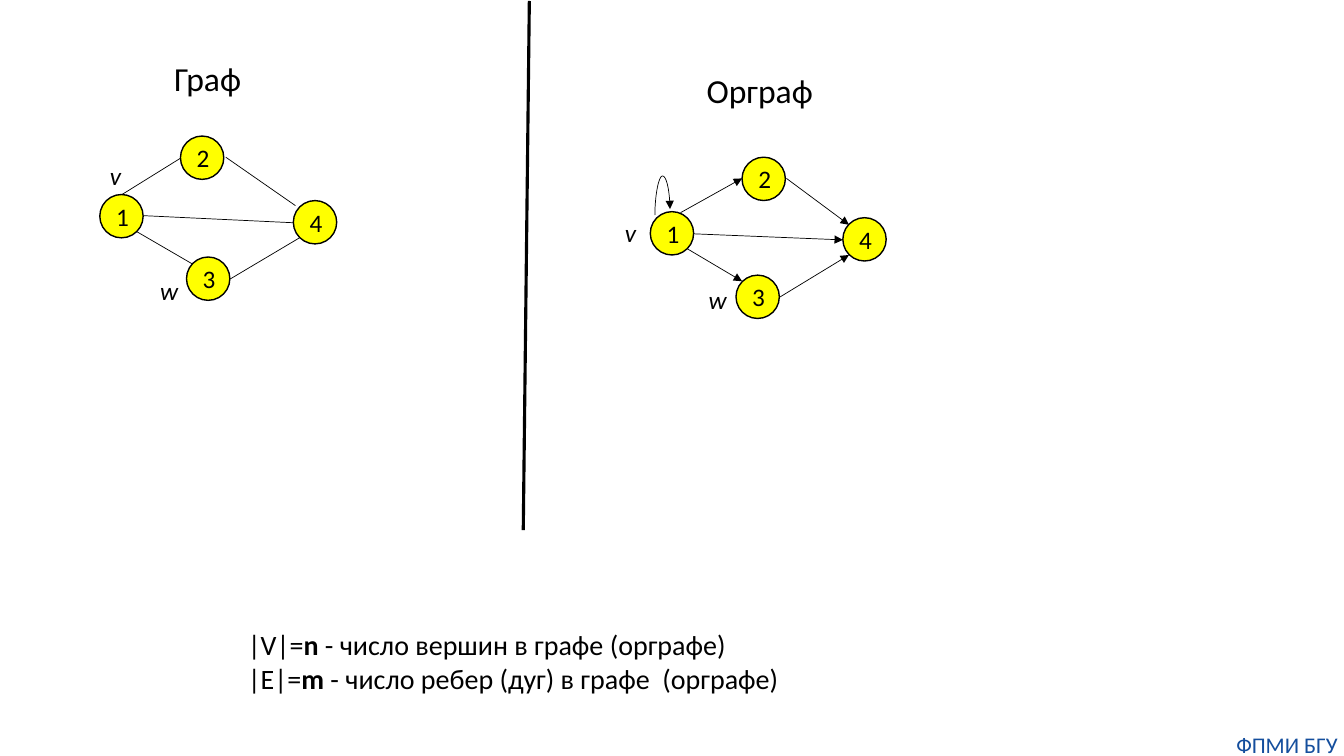
"""Build a slide comparing an undirected graph with a directed graph."""
import pptx
import pptx.util
import pptx.dml.color
import pptx.enum.shapes
import pptx.enum.text
import pptx.oxml
import pptx.oxml.ns

Inches = pptx.util.Inches
Pt = pptx.util.Pt
COLORS = {"ink": "000000", "node": "FFFF00", "footer": "144E9D"}
LINE_TYPES = pptx.enum.shapes.MSO_CONNECTOR
CENTER = pptx.enum.text.PP_ALIGN.CENTER
NODE_SIZE = 0.43


def write(paragraph, parts, size, color="ink", italic=False):
    for text, bold in parts:
        run = paragraph.add_run()
        run.text = text
        if bold:
            run.font.bold = True
    paragraph.font.name = "Calibri"
    paragraph.font.size = Pt(size)
    paragraph.font.italic = italic
    paragraph.font.color.rgb = pptx.dml.color.RGBColor.from_string(COLORS[color])


def draw_line(ends, width=0.5, arrow=False, kind=LINE_TYPES.STRAIGHT):
    line = slide.shapes.add_connector(kind, *[Inches(n) for n in ends])
    line.line.width = Pt(width)
    line.line.color.rgb = pptx.dml.color.RGBColor.from_string(COLORS["ink"])
    if arrow:
        head = pptx.oxml.parse_xml(f'<a:tailEnd {pptx.oxml.ns.nsdecls("a")} type="triangle"/>')
        line.line._get_or_add_ln().append(head)
    line._element.spPr.append(pptx.oxml.parse_xml(f'<a:effectLst {pptx.oxml.ns.nsdecls("a")}/>'))
    return line


deck = pptx.Presentation()
deck.slide_width, deck.slide_height = Inches(13.33), Inches(7.5)
slide = deck.slides.add_slide(deck.slide_layouts[6])

graphs = [
    {
        "directed": False,
        "edges": [(1.36, 2.3, 1.91, 2.62), (2.28, 2.77, 2.97, 2.36), (2.24, 1.56, 2.93, 2.04),
                  (1.21, 1.93, 1.79, 1.57), (1.43, 2.14, 2.91, 2.21)],
        "nodes": {"1": (0.99, 1.93), "2": (1.79, 1.35), "3": (1.85, 2.55), "4": (2.91, 1.99)},
        "labels": [("Граф", 1.63, 0.53, 0.87, 0.5), ("v", 0.99, 1.54, 0.32, 0.4),
                   ("w", 1.49, 2.68, 0.38, 0.4)],
    },
    {
        "directed": True,
        "edges": [(6.75, 2.11, 7.36, 1.77), (6.82, 2.47, 7.36, 2.79), (7.73, 2.95, 8.42, 2.53),
                  (7.8, 1.77, 8.42, 2.23), (6.88, 2.32, 8.36, 2.38)],
        "nodes": {"1": (6.45, 2.1), "2": (7.36, 1.56), "3": (7.3, 2.73), "4": (8.36, 2.16)},
        "labels": [("Орграф", 6.91, 0.64, 1.27, 0.5), ("v", 6.1, 2.11, 0.32, 0.4),
                   ("w", 6.93, 2.77, 0.38, 0.4)],
    },
]

for graph in graphs:
    for edge in graph["edges"]:
        draw_line(edge, arrow=graph["directed"])
    for number, (left, top) in graph["nodes"].items():
        node = slide.shapes.add_shape(
            pptx.enum.shapes.MSO_SHAPE.OVAL,
            Inches(left), Inches(top), Inches(NODE_SIZE), Inches(NODE_SIZE))
        node.shadow.inherit = False
        node.fill.solid()
        node.fill.fore_color.rgb = pptx.dml.color.RGBColor.from_string(COLORS["node"])
        node.line.color.rgb = pptx.dml.color.RGBColor.from_string(COLORS["ink"])
        node.line.width = Pt(1)
        node.text_frame.vertical_anchor = pptx.enum.text.MSO_ANCHOR.MIDDLE
        node.text_frame.paragraphs[0].alignment = CENTER
        write(node.text_frame.paragraphs[0], [(number, False)], 18)
    for text, *place in graph["labels"]:
        label = slide.shapes.add_textbox(*[Inches(n) for n in place])
        label.text_frame.word_wrap = False
        label.text_frame.auto_size = pptx.enum.text.MSO_AUTO_SIZE.SHAPE_TO_FIT_TEXT
        is_vertex = len(text) == 1
        write(label.text_frame.paragraphs[0], [(text, False)], 18 if is_vertex else 24,
              italic=is_vertex)

loop = draw_line((6.6, 2.18, 6.54, 2.03), arrow=True, kind=LINE_TYPES.CURVE)
loop._element.spPr.find(pptx.oxml.ns.qn("a:xfrm")).set("rot", "5400000")
loop_geometry = loop._element.spPr.find(pptx.oxml.ns.qn("a:prstGeom"))
loop_geometry.find(pptx.oxml.ns.qn("a:avLst")).append(pptx.oxml.parse_xml(
    f'<a:gd {pptx.oxml.ns.nsdecls("a")} name="adj1" fmla="val 650000"/>'))

draw_line((5.25, 0.01, 5.19, 5.26), width=2.25)

footer = slide.shapes.add_textbox(Inches(12.2), Inches(7.25), Inches(1.13), Inches(0.27)).text_frame
footer.word_wrap = True
footer.margin_left = footer.margin_right = footer.margin_top = footer.margin_bottom = 0
footer.paragraphs[0].alignment = CENTER
write(footer.paragraphs[0], [("ФПМИ БГУ", False)], 16, "footer")

notation = slide.shapes.add_textbox(Inches(2.36), Inches(6.18), Inches(5.52), Inches(1.07)).text_frame
notation.word_wrap = True
write(notation.paragraphs[0],
      [("|V|=", False), ("n", True), (" - число вершин в графе (орграфе)", False)], 20)
write(notation.add_paragraph(),
      [("|E|=", False), ("m", True), (" - число ребер (дуг) в графе  (орграфе)", False)], 20)

deck.save("out.pptx")
